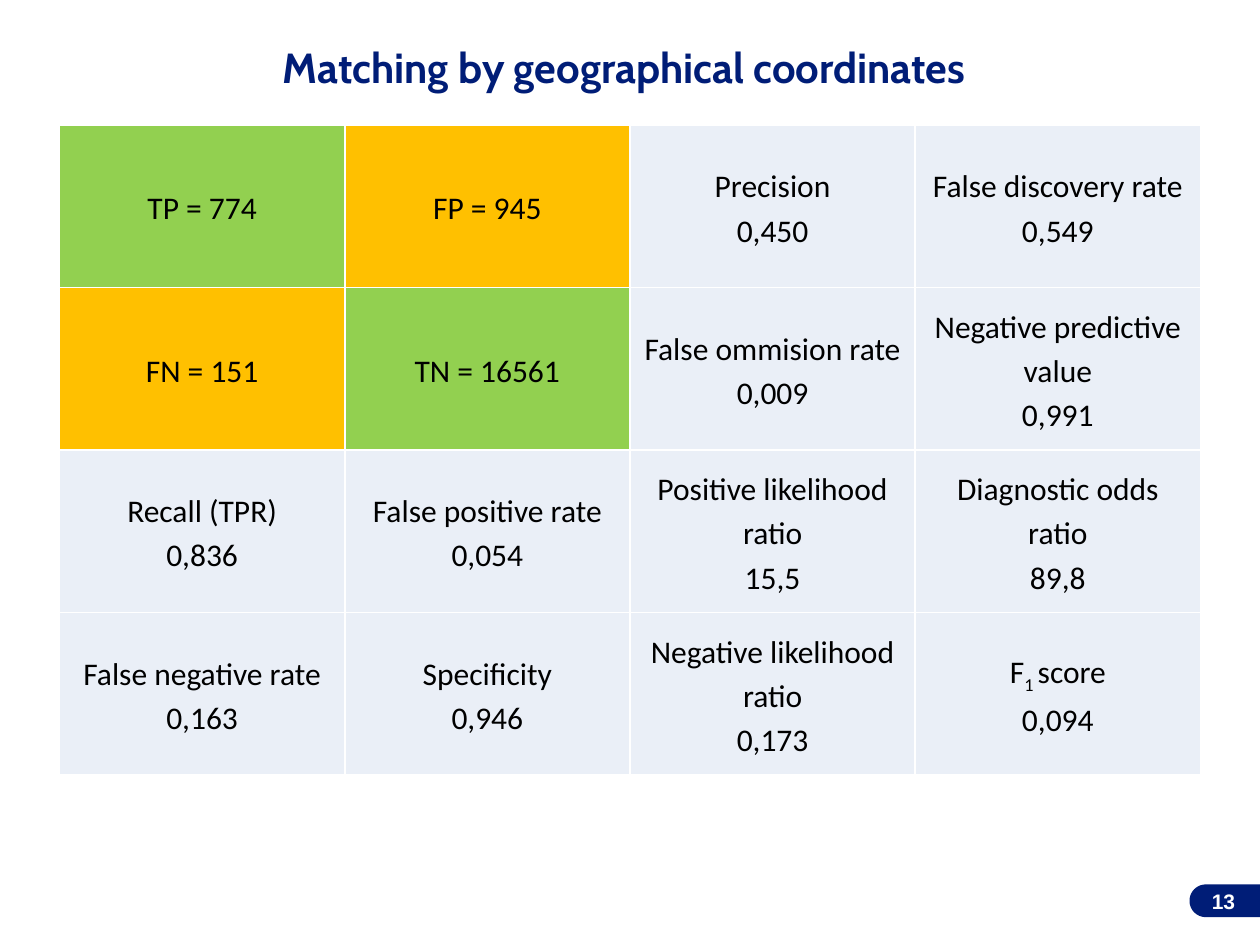
import math

import lxml.etree
import pptx
import pptx.dml.color
import pptx.enum.text
import pptx.oxml.ns
import pptx.util
from pptx.util import Cm

NAVY = pptx.dml.color.RGBColor(0x00, 0x1D, 0x77)
WHITE = pptx.dml.color.RGBColor(0xFF, 0xFF, 0xFF)
BLACK = pptx.dml.color.RGBColor(0x00, 0x00, 0x00)
GREEN = pptx.dml.color.RGBColor(0x92, 0xD0, 0x50)
AMBER = pptx.dml.color.RGBColor(0xFF, 0xC0, 0x00)
PALE = pptx.dml.color.RGBColor(0xEA, 0xEF, 0xF7)

ALIGN = pptx.enum.text.PP_ALIGN
MIDDLE = pptx.enum.text.MSO_ANCHOR.MIDDLE

# Lines within a cell are split by a newline; text between bars is subscript
METRICS = [
    ["TP = 774", "FP = 945", "Precision\n0,450", "False discovery rate\n0,549"],
    ["FN = 151", "TN = 16561", "False ommision rate\n0,009",
     "Negative predictive value\n0,991"],
    ["Recall (TPR)\n0,836", "False positive rate\n0,054",
     "Positive likelihood ratio\n15,5", "Diagnostic odds ratio\n89,8"],
    ["False negative rate\n0,163", "Specificity\n0,946",
     "Negative likelihood ratio\n0,173", "F|1 |score\n0,094"],
]


def metric_fill(row, column):
    """Colour the confusion matrix: green when correct, amber when wrong."""
    if row > 1 or column > 1:
        return PALE
    return GREEN if row == column else AMBER


class SlideBuilder:
    def __init__(self, slide):
        self.slide = slide
        self.title_font = "Cabin"
        self.table_font = "Calibri"
        self.number_font = "Arial"

    def style(self, font, name, size, color, bold=False):
        font.name = name
        font.size = pptx.util.Pt(size)
        font.color.rgb = color
        font.bold = bold

    def title(self, text, left, top, width, height):
        shape = self.slide.shapes.title
        shape.left, shape.top = Cm(left), Cm(top)
        shape.width, shape.height = Cm(width), Cm(height)
        frame = shape.text_frame
        frame.text = text
        frame.auto_size = pptx.enum.text.MSO_AUTO_SIZE.NONE
        frame.vertical_anchor = MIDDLE
        paragraph = frame.paragraphs[0]
        paragraph.alignment = ALIGN.CENTER
        paragraph.line_spacing = 0.9
        self.style(paragraph.runs[0].font, self.title_font, 24, NAVY, True)

    def cell_borders(self, cell):
        properties = cell._tc.get_or_add_tcPr()
        qn = pptx.oxml.ns.qn
        for side in ("lnL", "lnR", "lnT", "lnB"):
            line = lxml.etree.SubElement(properties, qn("a:" + side), w="12700")
            fill = lxml.etree.SubElement(line, qn("a:solidFill"))
            lxml.etree.SubElement(fill, qn("a:srgbClr"), val=str(WHITE))

    def cell(self, cell, text, color):
        self.cell_borders(cell)
        cell.fill.solid()
        cell.fill.fore_color.rgb = color
        cell.vertical_anchor = MIDDLE
        cell.margin_left = cell.margin_right = Cm(0.18)
        cell.margin_top = cell.margin_bottom = 0
        lines = text.split("\n")
        frame = cell.text_frame
        for _ in lines[1:]:
            frame.add_paragraph()
        for paragraph, line in zip(frame.paragraphs, lines):
            paragraph.alignment = ALIGN.CENTER
            paragraph.line_spacing = 1.15
            for index, part in enumerate(line.split("|")):
                run = paragraph.add_run()
                run.text = part
                self.style(run.font, self.table_font, 18, BLACK)
                if index % 2:
                    run._r.get_or_add_rPr().set("baseline", "-25000")

    def table(self, rows, left, top, width, height):
        table = self.slide.shapes.add_table(
            len(rows), len(rows[0]), Cm(left), Cm(top), Cm(width), Cm(height)
        ).table
        table.first_row = table.horz_banding = False
        for row, texts in enumerate(rows):
            for column, text in enumerate(texts):
                self.cell(table.cell(row, column), text, metric_fill(row, column))

    def page_tab(self, left, top, right, height):
        """Draw a tab with a half-round left end that meets the slide edge."""
        radius = height / 2
        angles = [math.radians(90 + step * 5) for step in range(37)]
        arc = [(Cm(left + radius + radius * math.cos(angle)),
                Cm(top + radius + radius * math.sin(angle))) for angle in angles]
        builder = self.slide.shapes.build_freeform(Cm(right), Cm(top + height))
        builder.add_line_segments(arc + [(Cm(right), Cm(top))], close=True)
        shape = builder.convert_to_shape()
        shape.shadow.inherit = False
        shape.fill.solid()
        shape.fill.fore_color.rgb = NAVY
        shape.line.fill.background()

    def page_number(self, text, left, top, width, height):
        box = self.slide.shapes.add_textbox(Cm(left), Cm(top), Cm(width), Cm(height))
        frame = box.text_frame
        frame.text = text
        frame.word_wrap = True
        frame.vertical_anchor = MIDDLE
        paragraph = frame.paragraphs[0]
        paragraph.alignment = ALIGN.RIGHT
        self.style(paragraph.runs[0].font, self.number_font, 12, WHITE, True)


def main():
    presentation = pptx.Presentation()
    presentation.slide_width, presentation.slide_height = Cm(25.4), Cm(19.05)
    title_only = presentation.slide_layouts[5]
    builder = SlideBuilder(presentation.slides.add_slide(title_only))

    # Heading
    builder.title("Matching by geographical coordinates", 0.58, 0.41, 24, 2)
    # Confusion matrix with derived metrics
    builder.table(METRICS, 1.2, 2.52, 23, 13.1)
    # Page number
    builder.page_tab(23.98, 17.83, 25.4, 0.66)
    builder.page_number("13", 23.98, 17.65, 1.17, 1.02)

    presentation.save("out.pptx")


if __name__ == "__main__":
    main()
